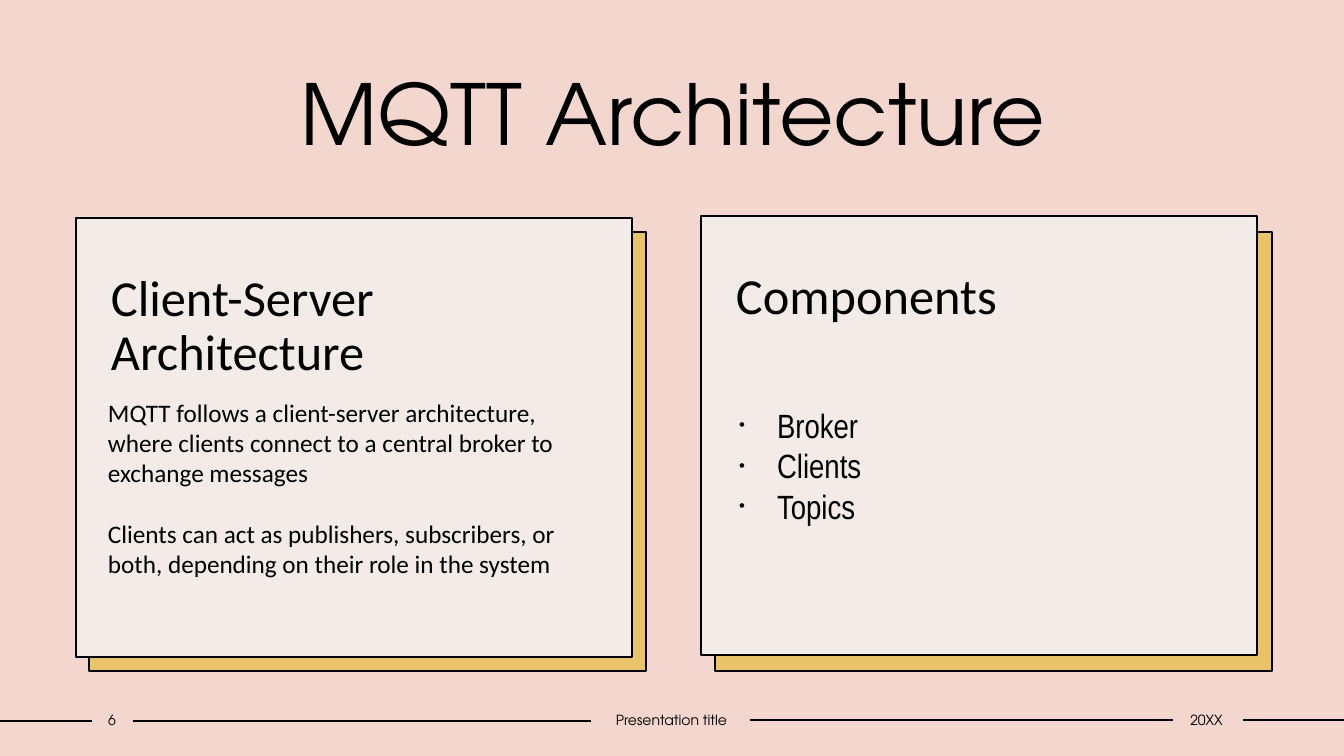
from lxml.etree import SubElement
from pptx import Presentation
from pptx.dml.color import RGBColor
from pptx.enum.shapes import MSO_CONNECTOR, MSO_SHAPE
from pptx.enum.text import MSO_ANCHOR, MSO_AUTO_SIZE, PP_ALIGN
from pptx.oxml.ns import qn
from pptx.util import Emu, Pt

PX = 914400 / 100.8
HEAD_FONT, BODY_FONT, LIST_FONT = "TeX Gyre Adventor", "Calibri", "Arial Narrow"
PINK, CREAM, GOLD, BLACK = "F3D6CD", "F3EBE8", "E9C369", "000000"


def px(n):
    return Emu(round(n * PX))


def rgb(color):
    return RGBColor.from_string(color)


def place(shape, x, y, w, h):
    shape.left, shape.top, shape.width, shape.height = px(x), px(y), px(w), px(h)


def paint(shape, fill):
    shape.fill.solid()
    shape.fill.fore_color.rgb = rgb(fill)
    shape.line.color.rgb = rgb(BLACK)
    shape.line.width = Pt(2)


def set_frame(shape, insets=(10, 5, 10, 5), anchor=MSO_ANCHOR.TOP):
    tf = shape.text_frame
    tf.word_wrap = True
    tf.auto_size = MSO_AUTO_SIZE.NONE
    tf.vertical_anchor = anchor
    tf.margin_left, tf.margin_top, tf.margin_right, tf.margin_bottom = map(px, insets)
    return tf


def write(p, text, size, font, align=PP_ALIGN.LEFT, before=0, spacing=1.0):
    p.alignment = align
    p.space_before = Pt(before)
    p.line_spacing = spacing
    r = p.add_run()
    r.text = text
    r.font.size = Pt(size)
    r.font.name = font
    r.font.bold = False
    r.font.color.rgb = rgb(BLACK)


def set_bullet(p, bullet=None, indent=0):
    """Give the paragraph a half-size bullet, or none."""
    pPr = p._p.get_or_add_pPr()
    pPr.set("marL", str(px(indent)))
    pPr.set("indent", str(-px(indent)))
    if bullet:
        SubElement(pPr, qn("a:buSzPct"), val="50000")
        SubElement(pPr, qn("a:buFont"), typeface="Arial")
        SubElement(pPr, qn("a:buChar"), char=bullet)
    else:
        SubElement(pPr, qn("a:buNone"))


def add_backing(s, x, y, w, h):
    """Put the offset gold panel behind the placeholders."""
    backing = s.shapes.add_shape(MSO_SHAPE.RECTANGLE, px(x), px(y), px(w), px(h))
    backing.shadow.inherit = False
    paint(backing, GOLD)
    s.shapes.element.insert(2, backing.element)


def fill_card(card, x, y, heading):
    place(card, x, y, 556, 439)
    paint(card, CREAM)
    tf = set_frame(card, (35, 55, 10, 5))
    write(tf.paragraphs[0], heading, 36, BODY_FONT, before=10, spacing=0.9)


def fill_body(body, x, y, lines, size, font, gap=0, bullet=None, indent=0):
    place(body, x, y, 508, 307)
    tf = set_frame(body)
    for i, line in enumerate(lines):
        p = tf.add_paragraph() if i else tf.paragraphs[0]
        write(p, line, size, font, before=gap if i else 0)
        set_bullet(p, bullet, indent)


def add_footer_text(s, x, w, text):
    box = s.shapes.add_textbox(px(x), px(706), px(w), px(27))
    tf = set_frame(box, (0, 5, 0, 5), MSO_ANCHOR.MIDDLE)
    write(tf.paragraphs[0], text, 10, HEAD_FONT, PP_ALIGN.CENTER)


def add_rule(s, x1, x2, y):
    rule = s.shapes.add_connector(MSO_CONNECTOR.STRAIGHT, px(x1), px(y), px(x2), px(y))
    rule.line.color.rgb = rgb(BLACK)
    rule.line.width = Pt(1)
    SubElement(rule.element.spPr, qn("a:effectLst"))


def main():
    prs = Presentation()
    prs.slide_width, prs.slide_height = px(1344), px(756)
    s = prs.slides.add_slide(prs.slide_layouts.get_by_name("Comparison"))
    s.background.fill.solid()
    s.background.fill.fore_color.rgb = rgb(PINK)
    title, left_card, left_body, right_card, right_body = s.placeholders

    place(title, 126, 56, 1093, 112)
    tf = set_frame(title, anchor=MSO_ANCHOR.MIDDLE)
    write(tf.paragraphs[0], "MQTT Architecture", 60, HEAD_FONT, PP_ALIGN.CENTER)

    for x in (89, 715):
        add_backing(s, x, 232, 557, 439)
    fill_card(left_card, 76, 218, "Client-Server Architecture")
    fill_card(right_card, 701, 216, "Components")

    fill_body(left_body, 98, 392, [
        "MQTT follows a client-server architecture, where clients connect "
        "to a central broker to exchange messages",
        "Clients can act as publishers, subscribers, or both, depending on "
        "their role in the system",
    ], 18, BODY_FONT, gap=22)
    fill_body(right_body, 729, 400, ["Broker", "Clients", "Topics"],
              24, LIST_FONT, bullet="•", indent=38)

    for x1, x2, y in ((0, 92, 721), (133, 591, 721), (750, 1173, 720), (1243, 1344, 720)):
        add_rule(s, x1, x2, y)
    for x, w, text in ((92, 40, "6"), (591, 161, "Presentation title"), (1171, 71, "20XX")):
        add_footer_text(s, x, w, text)

    prs.save("out.pptx")


if __name__ == "__main__":
    main()
